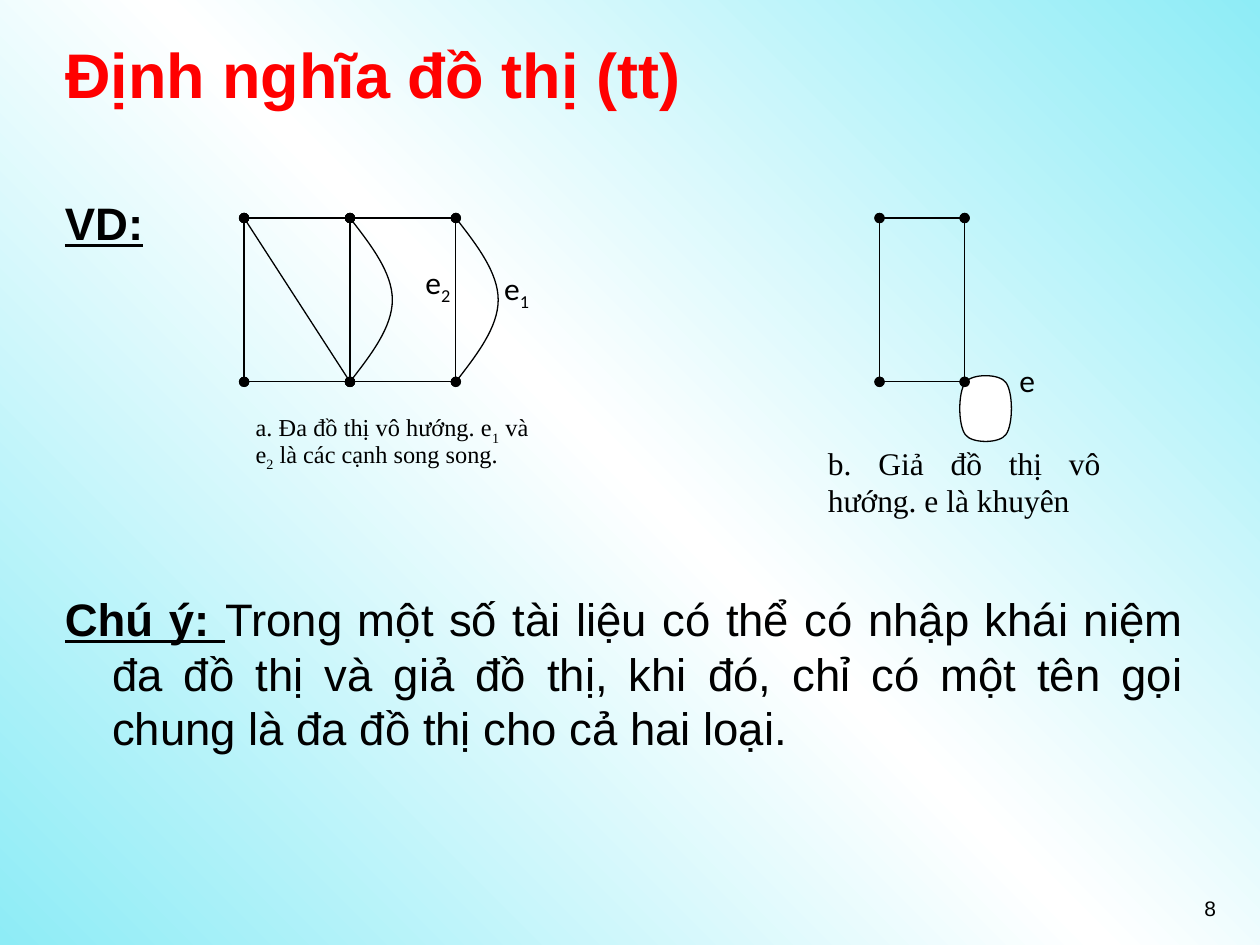
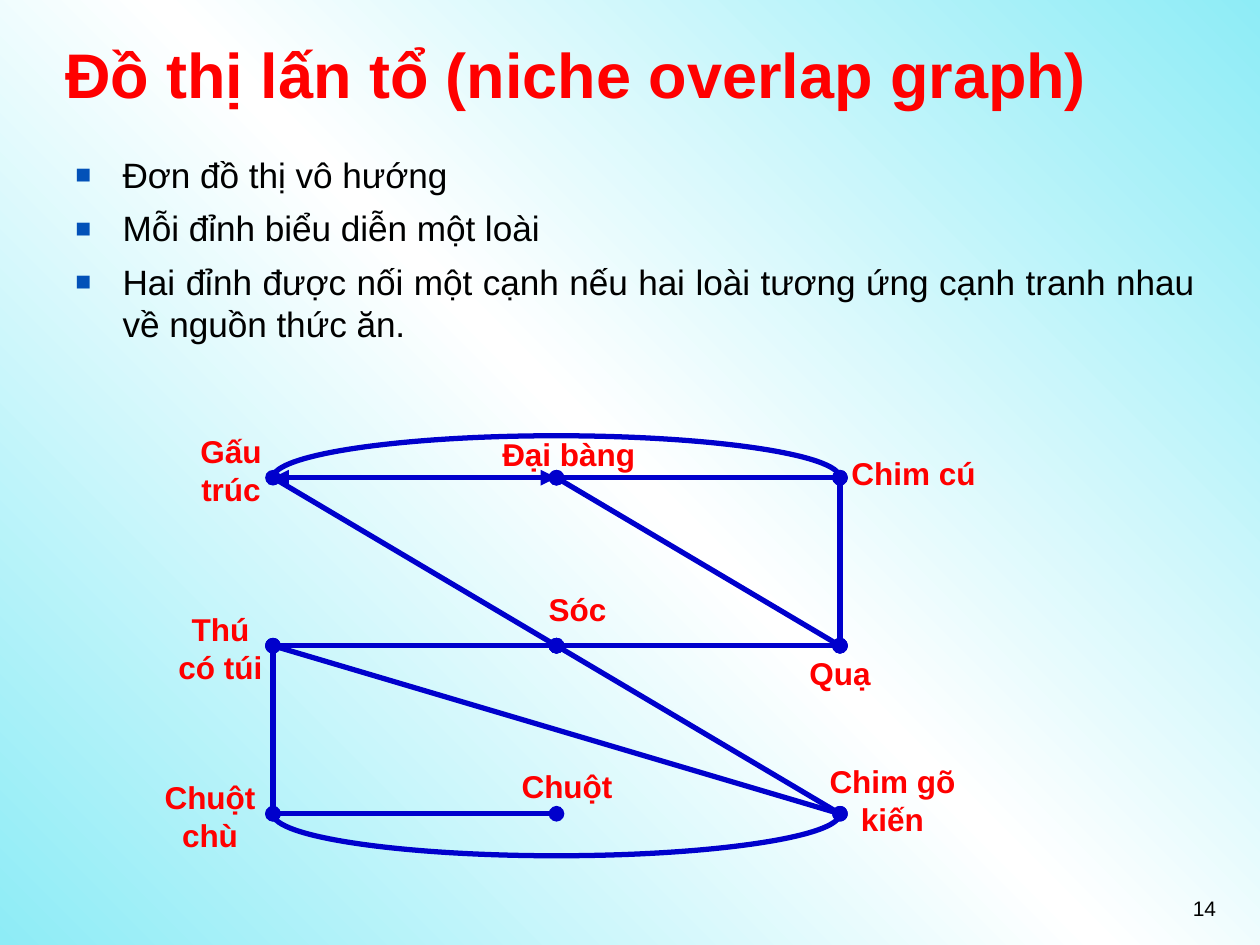
"""Build two slides on graph definitions and niche overlap graphs."""
import pptx
import pptx.dml.color
import pptx.enum.shapes
import pptx.enum.text
import pptx.oxml
import pptx.oxml.ns
import pptx.util
from lxml import etree

Pt = pptx.util.Pt
RGBColor = pptx.dml.color.RGBColor
Align = pptx.enum.text.PP_ALIGN
qn = pptx.oxml.ns.qn

RED = RGBColor(0xFF, 0x00, 0x00)
BLACK = RGBColor(0x00, 0x00, 0x00)
WHITE = RGBColor(0xFF, 0xFF, 0xFF)
EDGE_BLUE = RGBColor(0x00, 0x00, 0xCC)
BULLET_BLUE = RGBColor(0x02, 0x51, 0xB8)
SKY = RGBColor(0x8E, 0xEC, 0xF6)
HANGING = 27
SUBSCRIPT = {"baseline": -25000}
HEADING = {"bold": True, "underline": True}


def set_background(deck):
    """Give the slide master the diagonal gradient."""
    fill = deck.slide_master.background.fill
    fill.gradient()
    gradient = deck.slide_master.element.find(".//" + qn("a:gradFill"))
    for child in list(gradient):
        gradient.remove(child)
    stops = etree.SubElement(gradient, qn("a:gsLst"))
    for position, color in ((0, SKY), (50000, WHITE), (100000, SKY)):
        stop = etree.SubElement(stops, qn("a:gs"), pos=str(position))
        etree.SubElement(stop, qn("a:srgbClr"), val=str(color))
    etree.SubElement(gradient, qn("a:lin"), ang="18900000", scaled="0")


def add_bullet(properties):
    """Add a blue square bullet to paragraph properties."""
    color = etree.SubElement(properties, qn("a:buClr"))
    etree.SubElement(color, qn("a:srgbClr"), val=str(BULLET_BLUE))
    etree.SubElement(properties, qn("a:buSzPct"), val="75000")
    etree.SubElement(properties, qn("a:buFont"), typeface="Arial")
    etree.SubElement(properties, qn("a:buChar"), char="■")


def write_para(para, content, size=18, font="Arial", color=BLACK, bold=False,
               align=Align.LEFT, before=0, after=0, spacing=None,
               left=0, first=0, bullet=False):
    """Fill a paragraph from a string or from (text, changes) pairs."""
    properties = para._p.get_or_add_pPr()
    properties.set("marL", str(Pt(left)))
    properties.set("indent", str(Pt(first)))
    para.alignment = align
    para.space_before = Pt(before)
    para.space_after = Pt(after)
    if spacing:
        para.line_spacing = spacing
    if bullet:
        add_bullet(properties)
    spans = [(content, {})] if isinstance(content, str) else content
    for text, changes in spans:
        span = para.add_run()
        span.text = text
        span.font.size = Pt(size)
        span.font.name = font
        span.font.color.rgb = color
        span.font.bold = changes.get("bold", bold)
        if changes.get("underline"):
            span.font.underline = True
        if "baseline" in changes:
            span._r.get_or_add_rPr().set("baseline", str(changes["baseline"]))


def add_text(page, place, contents, gap=0, **style):
    """Add a wrapping text box with one paragraph per item of contents."""
    box = page.shapes.add_textbox(*map(Pt, place))
    frame = box.text_frame
    frame.word_wrap = True
    for index, content in enumerate(contents):
        para = frame.add_paragraph() if index else frame.paragraphs[0]
        write_para(para, content, before=gap if index else 0, **style)


def add_page(deck, title, number):
    """Add a slide with its title and page number."""
    page = deck.slides.add_slide(deck.slide_layouts[5])
    box = page.shapes.title
    box.left, box.top, box.width, box.height = map(Pt, (30, 12, 654, 60))
    frame = box.text_frame
    frame.auto_size = pptx.enum.text.MSO_AUTO_SIZE.NONE
    frame.vertical_anchor = pptx.enum.text.MSO_ANCHOR.MIDDLE
    write_para(frame.paragraphs[0], title, size=36, color=RED, bold=True)
    add_text(page, (534, 508, 168, 37.5), [str(number)], size=12,
             align=Align.RIGHT)
    return page


def add_edge(page, start, end, color, width, ends="oval"):
    """Draw a straight graph edge with markers at both ends."""
    edge = page.shapes.add_connector(
        pptx.enum.shapes.MSO_CONNECTOR.STRAIGHT, *map(Pt, start + end))
    edge.line.color.rgb = color
    edge.line.width = Pt(width)
    outline = edge.line._get_or_add_ln()
    for tag in ("a:headEnd", "a:tailEnd"):
        etree.SubElement(outline, qn(tag), type=ends)
    etree.SubElement(edge._element.spPr, qn("a:effectLst"))


def add_curve(page, start, controls, color, width, fill=None):
    """Draw cubic curves; controls holds three points for each curve."""
    builder = page.shapes.build_freeform(*map(Pt, start))
    builder.add_line_segments([tuple(map(Pt, point)) for point in controls],
                              close=fill is not None)
    shape = builder.convert_to_shape()
    outline = shape._element.find(".//" + qn("a:path"))
    lines = outline.findall(qn("a:lnTo"))
    for index in range(0, len(controls), 3):
        curve = etree.Element(qn("a:cubicBezTo"))
        lines[index].addprevious(curve)
        for line in lines[index:index + 3]:
            curve.append(line[0])
            outline.remove(line)
    shape.shadow.inherit = False
    if fill is None:
        shape.fill.background()
    else:
        shape.fill.solid()
        shape.fill.fore_color.rgb = fill
    shape.line.color.rgb = color
    shape.line.width = Pt(width)


def add_loop(page, left, top, width, height):
    """Draw the rounded loop of a vertex joined to itself."""
    right, bottom = left + width, top + height
    x1, x2 = left + 4.2, right - 4.2
    y1, y2 = top + 5.2, bottom - 5.2
    side, flat = 10.8, 7.8
    add_curve(page, (x1, y1), [
        (left, top + side), (left, bottom - side), (x1, y2),
        (left + flat, bottom), (right - flat, bottom), (x2, y2),
        (right, bottom - side), (right, top + side), (x2, y1),
        (right - flat, top), (left + flat, top), (x1, y1),
    ], BLACK, 0.75, fill=WHITE)


def add_bow(page, x, top, bottom):
    """Draw a parallel edge that bows to the right of a vertical edge."""
    middle, bend = (top + bottom) / 2, (bottom - top) / 6
    add_curve(page, (x, top), [
        (x + 12.1, top + bend), (x + 24.2, middle - bend), (x + 24.2, middle),
        (x + 24.2, middle + bend), (x + 12.1, bottom - bend), (x, bottom),
    ], BLACK, 0.75)


def add_arch(page, left, right, base, rise):
    """Draw half an ellipse between two vertices on one level."""
    middle, radius, ratio = (left + right) / 2, (right - left) / 2, 0.55
    crest, shoulder = base - rise, base - rise * ratio
    add_curve(page, (left, base), [
        (left, shoulder), (middle - radius * ratio, crest), (middle, crest),
        (middle + radius * ratio, crest), (right, shoulder), (right, base),
    ], EDGE_BLUE, 3)


def build_definition(deck):
    """Build the slide with the multigraph and the pseudograph."""
    page = add_page(deck, "Định nghĩa đồ thị (tt)", 8)
    place = (30, 108, 654, 374)
    style = {"size": 26, "align": Align.JUSTIFY, "left": HANGING,
             "first": -HANGING}
    note = [("Chú ý: ", HEADING),
            ("Trong một số tài liệu có thể có nhập khái niệm đa đồ thị và "
             "giả đồ thị, khi đó, chỉ có một tên gọi chung là đa đồ thị cho "
             "cả hai loại.", {})]
    add_text(page, place, [[("VD:", HEADING)], note], gap=195, **style)

    top, bottom = 124.6, 218.2
    add_loop(page, 547.4, 213.4, 31.6, 40.2)
    a, b, c = (139.5 + 60.5 * column for column in range(3))
    d, e = 502.6, 551.2
    edges = [((x, top), (x, bottom)) for x in (a, b, c, d, e)]
    edges += [((x1, y), (x2, y)) for x1, x2 in ((a, b), (b, c), (d, e))
              for y in (top, bottom)]
    edges.append(((a, top), (b, bottom)))
    for start, end in edges:
        add_edge(page, start, end, BLACK, 0.75)
    for x in (b, c):
        add_bow(page, x, top, bottom)

    caption = {"font": "Times New Roman", "align": Align.JUSTIFY,
               "left": 36, "after": 10}
    multigraph = [("a. Đa đồ thị vô hướng. e", {}), ("1", SUBSCRIPT),
                  (" và e", {}), ("2", SUBSCRIPT),
                  (" là các cạnh song song.", {})]
    add_text(page, (103, 234, 206, 62.5), [multigraph], size=13.9,
             spacing=0.8, **caption)
    add_text(page, (430, 250, 206, 62.5),
             ["b. Giả đồ thị vô hướng. e là khuyên"], **caption)
    for x, y, index in ((281, 150, "1"), (236, 147, "2"), (575.5, 203, "")):
        name = [("e", {})] + ([(index, SUBSCRIPT)] if index else [])
        add_text(page, (x, y, 36, 47), [name], font="Calibri")


def build_niche(deck):
    """Build the slide with the niche overlap graph."""
    page = add_page(deck, "Đồ thị lấn tổ (niche overlap graph)", 14)
    add_text(page, (36, 84, 654, 120), [
        "Đơn đồ thị vô hướng",
        "Mỗi đỉnh biểu diễn một loài",
        "Hai đỉnh được nối một cạnh nếu hai loài tương ứng cạnh tranh nhau "
        "về nguồn thức ăn.",
    ], gap=6.5, size=20.1, align=Align.JUSTIFY, left=HANGING,
        first=-HANGING, bullet=True)

    names = ("panda", "eagle", "owl", "opossum", "squirrel", "crow",
             "shrew", "mouse", "woodpecker")
    spots = {name: (156 + 162 * (index % 3), 273 + 96 * (index // 3))
             for index, name in enumerate(names)}
    add_edge(page, spots["panda"], spots["eagle"], EDGE_BLUE, 3, "triangle")
    for first, second in (
            ("eagle", "owl"), ("opossum", "squirrel"), ("squirrel", "crow"),
            ("shrew", "mouse"), ("opossum", "woodpecker"),
            ("panda", "squirrel"), ("squirrel", "woodpecker"),
            ("opossum", "shrew"), ("eagle", "crow"), ("owl", "crow")):
        add_edge(page, spots[first], spots[second], EDGE_BLUE, 3)
    for first, second, rise in (("panda", "owl", 24),
                                ("shrew", "woodpecker", -24)):
        left, base = spots[first]
        add_arch(page, left, spots[second][0], base, rise)

    for label, x, y, width, height in (
            ("Chim cú", 474, 256, 96, 29), ("Đại bàng", 277, 245, 96, 29),
            ("Gấu trúc", 102, 243.5, 60, 50.5),
            ("Thú có túi", 90, 345, 72, 50.5),
            ("Quạ", 432, 370, 96, 29), ("Sóc", 282, 333.5, 96, 29),
            ("Chuột", 276, 435, 96, 29), ("Chuột chù", 72, 441, 96, 50.5),
            ("Chim gõ kiến", 462, 432, 96, 50.5)):
        add_text(page, (x, y, width, height), [label], color=RED, bold=True,
                 align=Align.CENTER)


def main():
    """Build and save the deck."""
    deck = pptx.Presentation()
    deck.slide_width, deck.slide_height = Pt(720), Pt(540)
    set_background(deck)
    build_definition(deck)
    build_niche(deck)
    deck.save("out.pptx")


if __name__ == "__main__":
    main()
